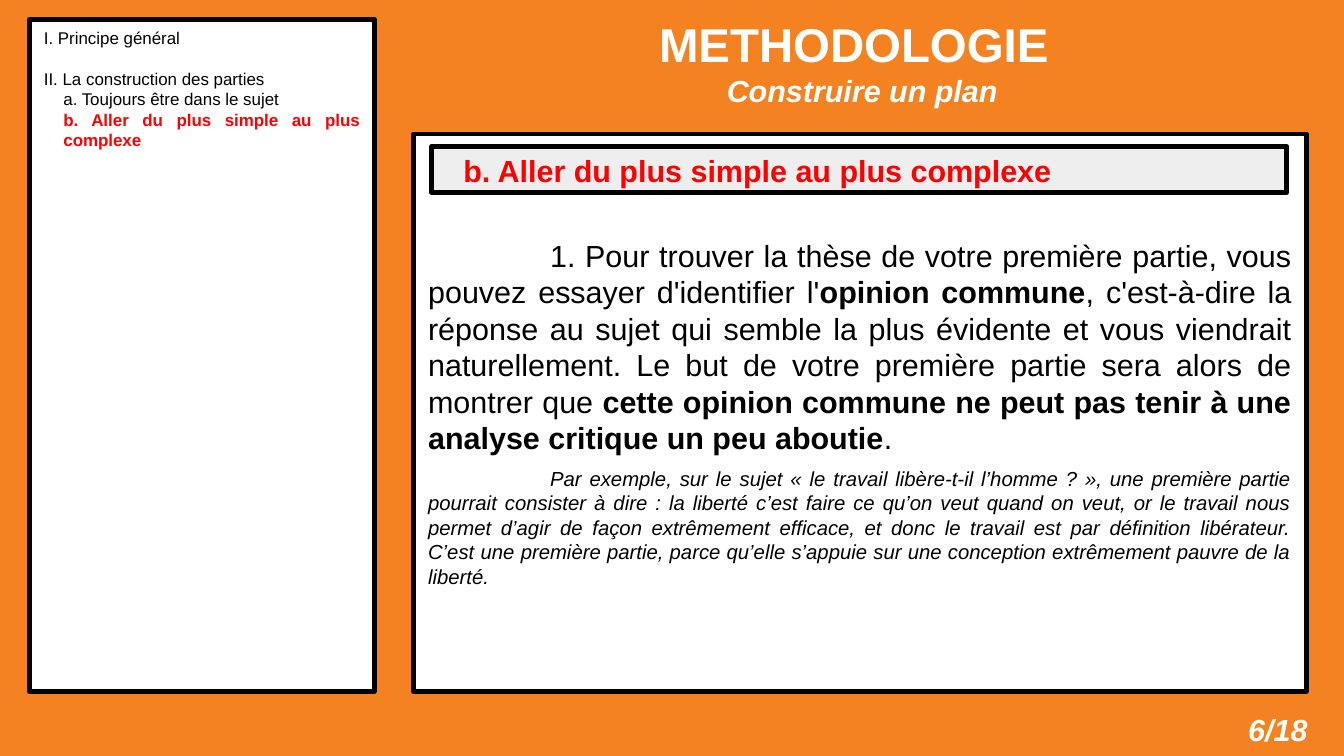
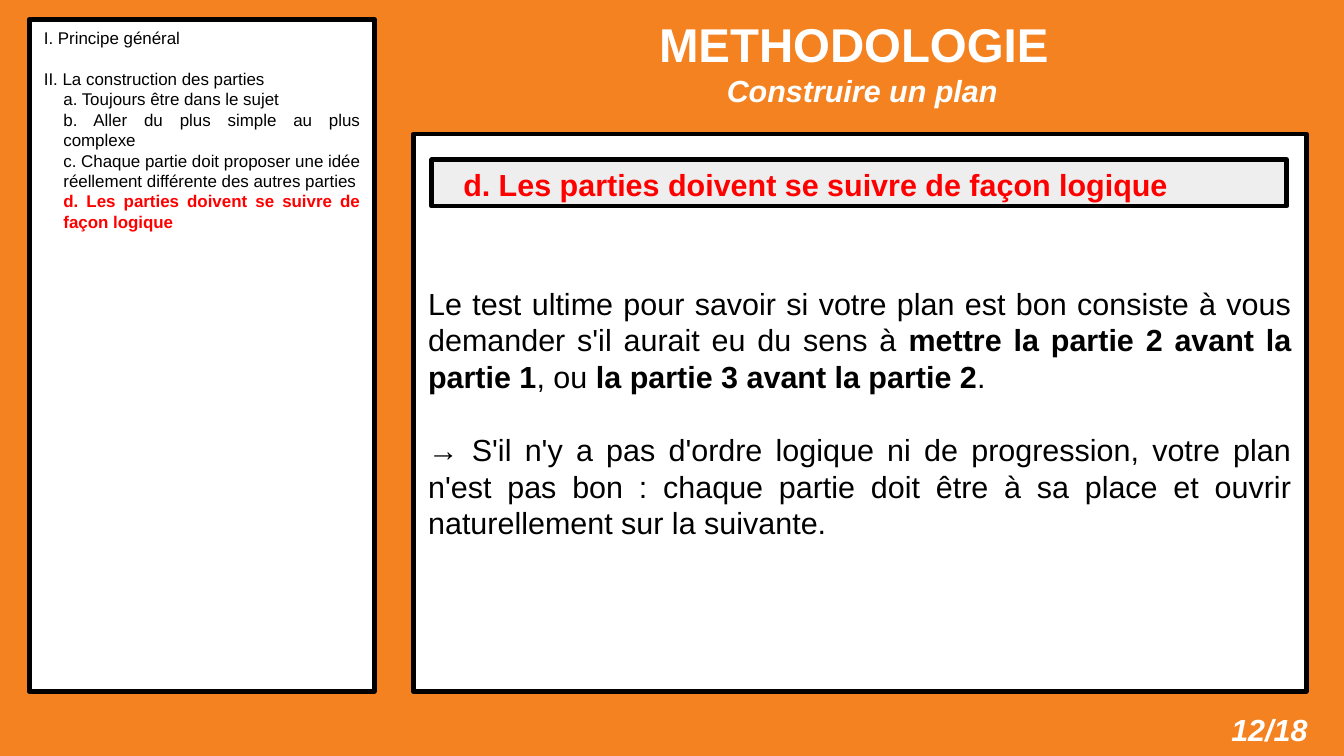
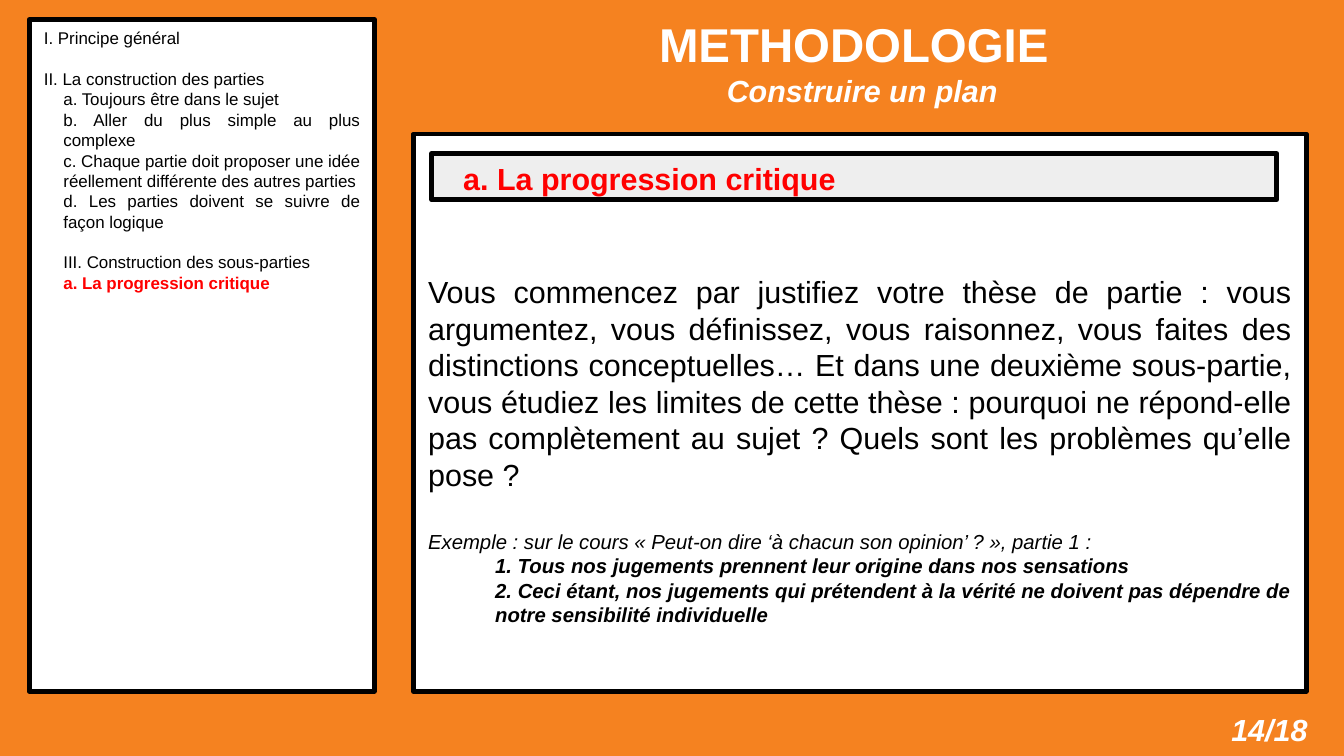
"""Build three course slides on how to construct an essay plan."""
from pptx import Presentation
from pptx.dml.color import RGBColor
from pptx.enum import shapes, text
from pptx.util import Inches, Pt

COLORS = {
    "orange": "F58220",
    "white": "FFFFFF",
    "black": "000000",
    "red": "FF0000",
    "grey": "EEEEEE",
}
FONT = "Arial"
TOTAL_PAGES = 18
SUB_INDENT = 0.16
OUTLINE = [
    ("I. Principe général", 0, 0),
    ("II. La construction des parties", 0, 12),
    ("a. Toujours être dans le sujet", SUB_INDENT, 0),
    ("b. Aller du plus simple au plus complexe", SUB_INDENT, 0),
    ("c. Chaque partie doit proposer une idée réellement différente des autres parties", SUB_INDENT, 0),
    ("d. Les parties doivent se suivre de façon logique", SUB_INDENT, 0),
    ("III. Construction des sous-parties", SUB_INDENT, 12),
    ("a. La progression critique", SUB_INDENT, 0),
]
LESSONS = [
    {
        "page": 6, "reached": 4, "heading_top": 1.2, "heading_width": 7.01, "body_inset": 0.84,
        "body": [
            ("1. Pour trouver la thèse de votre première partie, vous pouvez essayer d'identifier "
             "l'**opinion commune**, c'est-à-dire la réponse au sujet qui semble la plus évidente et vous "
             "viendrait naturellement. Le but de votre première partie sera alors de montrer que "
             "**cette opinion commune ne peut pas tenir à une analyse critique un peu aboutie**.",
             {"first": 1}),
            ("Par exemple, sur le sujet « le travail libère-t-il l’homme ? », une première partie pourrait "
             "consister à dire : la liberté c’est faire ce qu’on veut quand on veut, or le travail nous "
             "permet d’agir de façon extrêmement efficace, et donc le travail est par définition "
             "libérateur. C’est une première partie, parce qu’elle s’appuie sur une conception "
             "extrêmement pauvre de la liberté.",
             {"size": 12, "italic": True, "first": 1, "before": 6}),
        ],
    },
    {
        "page": 12, "reached": 6, "heading_top": 1.31, "heading_width": 7.01, "body_inset": None,
        "body": [
            ("Le test ultime pour savoir si votre plan est bon consiste à vous demander s'il aurait eu du "
             "sens à **mettre la partie 2 avant la partie 1**, ou **la partie 3 avant la partie 2**.", {}),
            ("→ S'il n'y a pas d'ordre logique ni de progression, votre plan n'est pas bon : chaque partie "
             "doit être à sa place et ouvrir naturellement sur la suivante.", {"before": 21.6}),
        ],
    },
    {
        "page": 14, "reached": 8, "heading_top": 1.26, "heading_width": 6.93, "body_inset": 1.14,
        "body": [
            ("Vous commencez par justifiez votre thèse de partie : vous argumentez, vous définissez, vous "
             "raisonnez, vous faites des distinctions conceptuelles… Et dans une deuxième sous-partie, vous "
             "étudiez les limites de cette thèse : pourquoi ne répond-elle pas complètement au sujet ? "
             "Quels sont les problèmes qu’elle pose ?", {}),
            ("Exemple : sur le cours « Peut-on dire ‘à chacun son opinion’ ? », partie 1 :",
             {"size": 12, "italic": True, "before": 21.6}),
            ("**1. Tous nos jugements prennent leur origine dans nos sensations**",
             {"size": 12, "italic": True, "left": 0.55}),
            ("**2. Ceci étant, nos jugements qui prétendent à la vérité ne doivent pas dépendre de notre "
             "sensibilité individuelle**", {"size": 12, "italic": True, "left": 0.55}),
        ],
    },
]


def rgb(name):
    return RGBColor.from_string(COLORS[name])


class Deck:
    def __init__(self):
        self.prs = Presentation()
        self.prs.slide_width = Inches(11.02)
        self.prs.slide_height = Inches(6.2)
        self.slide = None

    def new_slide(self):
        self.slide = self.prs.slides.add_slide(self.prs.slide_layouts[6])
        fill = self.slide.background.fill
        fill.solid()
        fill.fore_color.rgb = rgb("orange")

    def frame(self, shape, margins, anchor):
        frame = shape.text_frame
        frame.word_wrap = True
        frame.vertical_anchor = anchor
        frame.margin_left, frame.margin_top, frame.margin_right, frame.margin_bottom = map(Inches, margins)
        return frame

    def box(self, left, top, width, height, fill="white", margins=(0.12, 0.07, 0.12, 0.07),
            anchor=text.MSO_ANCHOR.TOP):
        panel = self.slide.shapes.add_shape(
            shapes.MSO_SHAPE.RECTANGLE, Inches(left), Inches(top), Inches(width), Inches(height))
        panel.shadow.inherit = False
        panel.fill.solid()
        panel.fill.fore_color.rgb = rgb(fill)
        panel.line.color.rgb = rgb("black")
        panel.line.width = Pt(2.83)
        return self.frame(panel, margins, anchor)

    def label(self, left, top, width, height, anchor=text.MSO_ANCHOR.TOP):
        holder = self.slide.shapes.add_textbox(Inches(left), Inches(top), Inches(width), Inches(height))
        return self.frame(holder, (0.1, 0.05, 0.1, 0.05), anchor)

    def paragraph(self, frame, words, size=18, color="black", bold=False, italic=False,
                  align=text.PP_ALIGN.JUSTIFY, left=0, first=0, before=0):
        paragraph = frame.add_paragraph() if frame.text else frame.paragraphs[0]
        paragraph.alignment = align
        paragraph.space_before = Pt(before)
        properties = paragraph._p.get_or_add_pPr()
        properties.set("marL", str(Inches(left)))
        properties.set("indent", str(Inches(first)))
        for position, piece in enumerate(words.split("**")):
            if piece:
                run = paragraph.add_run()
                run.text = piece
                run.font.name = FONT
                run.font.size = Pt(size)
                run.font.bold = bold or position % 2 == 1
                run.font.italic = italic
                run.font.color.rgb = rgb(color)

    def banner(self):
        title = self.label(3.34, 0, 7.32, 1.02, text.MSO_ANCHOR.MIDDLE)
        centre = text.PP_ALIGN.CENTER
        self.paragraph(title, "METHODOLOGIE", 28, "white", bold=True, align=centre)
        self.paragraph(title, "Construire un plan", 18, "white", bold=True, italic=True,
                       align=centre, left=0.14)

    def page_number(self, page):
        footer = self.label(9.76, 5.78, 1.06, 0.4)
        self.paragraph(footer, f"{page}/{TOTAL_PAGES}", color="white", bold=True, italic=True,
                       align=text.PP_ALIGN.RIGHT)

    def outline(self, reached):
        sidebar = self.box(0.24, 0.16, 2.83, 5.51)
        for number, (entry, left, before) in enumerate(OUTLINE[:reached], 1):
            current = number == reached
            self.paragraph(sidebar, entry, 10, "red" if current else "black", bold=current,
                           left=left, before=before)

    def body(self, paragraphs, inset):
        if inset is None:
            content = self.box(3.39, 1.1, 7.32, 4.57, anchor=text.MSO_ANCHOR.MIDDLE)
        else:
            content = self.box(3.39, 1.1, 7.32, 4.57, margins=(0.12, inset, 0.12, 0.07))
        for words, style in paragraphs:
            self.paragraph(content, words, **style)

    def heading(self, words, top, width):
        band = self.box(3.54, top, width, 0.38, "grey", (0.1, 0.05, 0.1, 0))
        self.paragraph(band, words, color="red", bold=True, left=SUB_INDENT)


def main():
    deck = Deck()
    for lesson in LESSONS:
        deck.new_slide()
        deck.banner()
        deck.page_number(lesson["page"])
        deck.outline(lesson["reached"])
        deck.body(lesson["body"], lesson["body_inset"])
        deck.heading(OUTLINE[lesson["reached"] - 1][0], lesson["heading_top"], lesson["heading_width"])
    deck.prs.save("out.pptx")


if __name__ == "__main__":
    main()
